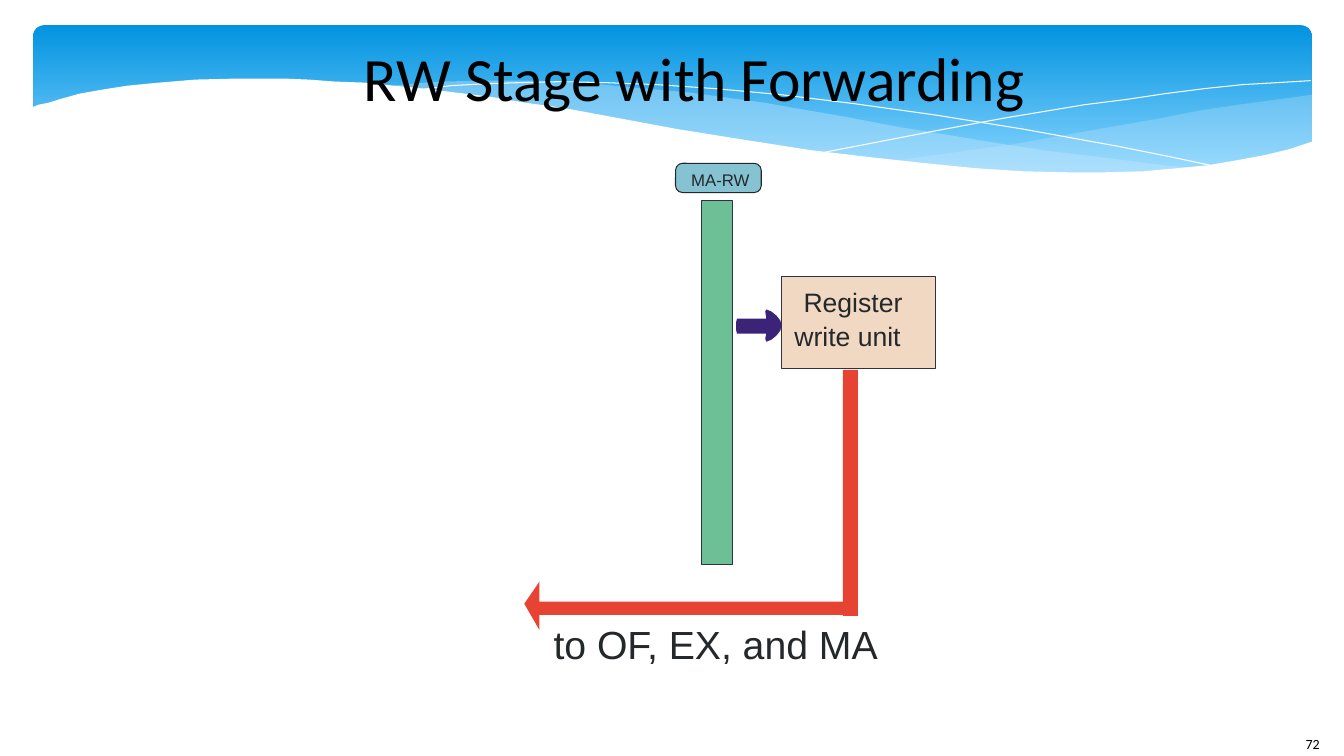
from lxml.etree import SubElement
from pptx import Presentation
from pptx.dml.color import RGBColor
from pptx.enum.shapes import MSO_SHAPE
from pptx.enum.text import MSO_ANCHOR, PP_ALIGN
from pptx.oxml.ns import qn
from pptx.util import Pt

PX = 9144
WHITE = RGBColor(0xFF, 0xFF, 0xFF)
BLACK = RGBColor(0, 0, 0)
SKY = RGBColor(0x02, 0x93, 0xE0)
LIGHT_SKY = RGBColor(0x83, 0xD3, 0xFE)
PALE_BLUE = RGBColor(0xC6, 0xE7, 0xFC)
GREEN = RGBColor(0x6D, 0xBF, 0x96)
TEAL = RGBColor(0x86, 0xC3, 0xD2)
SAND = RGBColor(0xF0, 0xD8, 0xC2)
RED = RGBColor(0xE7, 0x43, 0x32)
PURPLE = RGBColor(0x3B, 0x24, 0x78)
EDGE = RGBColor(0x32, 0x31, 0x41)
INK = RGBColor(0x24, 0x28, 0x2B)

RIGHT_RIBBON = [
    (1301, 94), (1265, 99), (1227, 104), (1188, 110), (1147, 118), (1073, 131),
    (1005, 143), (941, 152), (882, 160), (921, 164), (958, 167), (993, 169),
    (1041, 172), (1099, 172), (1138, 170), (1174, 167), (1207, 163),
    (1238, 158), (1266, 152), (1284, 147), (1301, 142)]
LEFT_RIBBON = [
    (1190, 167), (1154, 164), (1116, 159), (1076, 154), (1034, 149), (989, 142),
    (941, 134), (891, 126), (839, 116), (798, 109), (759, 102), (721, 97),
    (686, 92), (652, 89), (619, 86), (589, 83), (560, 82), (532, 80), (482, 80),
    (437, 81), (399, 84), (382, 86), (431, 90), (483, 97), (539, 106),
    (599, 116), (654, 126), (706, 135), (755, 143), (802, 150), (846, 156),
    (887, 161), (926, 165), (963, 168), (998, 170), (1046, 172), (1090, 173),
    (1131, 172), (1167, 169)]
FALLING_LINE = [
    (412, 90), (424, 88), (447, 85), (484, 83), (516, 82), (555, 81), (600, 82),
    (652, 84), (710, 88), (775, 94), (848, 103), (927, 114), (1014, 128),
    (1108, 145), (1158, 155), (1210, 166)]
RISING_LINE = [
    (818, 151), (870, 141), (927, 130), (997, 117), (1075, 104), (1115, 99),
    (1155, 93), (1194, 88), (1232, 84), (1267, 82), (1300, 80)]
WHITE_WAVE = [
    (1303, 140), (1279, 148), (1254, 154), (1227, 159), (1198, 164), (1167, 167),
    (1134, 170), (1097, 171), (1058, 171), (1015, 170), (969, 167), (918, 162),
    (863, 156), (804, 149), (740, 139), (671, 128), (596, 114), (558, 107),
    (521, 102), (486, 96), (453, 92), (421, 88), (390, 85), (361, 82), (333, 81),
    (306, 79), (282, 78), (235, 78), (194, 79), (158, 82), (127, 85), (101, 89),
    (79, 93), (61, 98), (48, 102), (38, 104), (31, 107), (31, 224), (1303, 224)]
LEFT_HEAD = [(520, 599), (535, 625), (535, 577)]
WRITE_ARROW = [
    (760, 307), (759, 309), (760, 316), (731, 316), (730, 320), (730, 327),
    (731, 331), (760, 331), (759, 336), (760, 339), (765, 337), (770, 333),
    (774, 328), (775, 323), (774, 318), (770, 313), (765, 309)]


class Canvas:
    def __init__(self, prs):
        self.s = prs.slides.add_slide(prs.slide_layouts[6])

    def style(self, sp, fill, line):
        sp.shadow.inherit = False
        if fill is None:
            sp.fill.background()
        else:
            sp.fill.solid()
            sp.fill.fore_color.rgb = fill
        if line is None:
            sp.line.fill.background()
        else:
            sp.line.color.rgb = line
            sp.line.width = Pt(0)
        return sp

    def shape(self, kind, x, y, w, h, fill, line=None, radius=None):
        sp = self.s.shapes.add_shape(kind, x * PX, y * PX, w * PX, h * PX)
        if radius is not None:
            sp.adjustments[0] = radius
        return self.style(sp, fill, line)

    def freeform(self, points, fill=None, line=None, alpha=None):
        builder = self.s.shapes.build_freeform(*points[0], scale=PX)
        builder.add_line_segments(points[1:], close=fill is not None)
        sp = self.style(builder.convert_to_shape(), fill, line)
        if alpha is not None:
            color = sp.element.spPr.find(qn("a:solidFill"))[0]
            SubElement(color, qn("a:alpha")).set("val", str(alpha * 1000))
        return sp

    def label(self, sp, text, size, font="Arial", color=INK, align=PP_ALIGN.LEFT,
              anchor=MSO_ANCHOR.TOP, left=0, top=0, wrap=False):
        tf = sp.text_frame
        tf.text = text
        tf.word_wrap = wrap
        tf.vertical_anchor = anchor
        tf.margin_left, tf.margin_top = left * PX, top * PX
        tf.margin_right = tf.margin_bottom = 0
        for p in tf.paragraphs:
            p.alignment = align
            for r in p.runs:
                r.font.size = Pt(size)
                r.font.name = font
                r.font.color.rgb = color
        return tf

    def text(self, x, y, w, h, text, size, **options):
        sp = self.s.shapes.add_textbox(x * PX, y * PX, w * PX, h * PX)
        return self.label(sp, text, size, **options)


def draw_banner(c):
    sp = c.shape(MSO_SHAPE.ROUNDED_RECTANGLE, 33, 25, 1268, 156, SKY, radius=0.07)
    sp.fill.gradient()
    sp.fill.gradient_angle = 270
    for stop, color, position in zip(sp.fill.gradient_stops, (SKY, LIGHT_SKY), (0, 0.9)):
        stop.color.rgb = color
        stop.position = position
    c.freeform(RIGHT_RIBBON, PALE_BLUE, alpha=29)
    c.freeform(LEFT_RIBBON, PALE_BLUE, alpha=40)
    c.freeform(FALLING_LINE, line=WHITE)
    c.freeform(RISING_LINE, line=WHITE)
    c.freeform(WHITE_WAVE, WHITE)
    c.text(1285, 725, 82, 40, "72", 10, font="Calibri", color=BLACK, left=10, top=5)
    c.text(283, 25, 811, 102, "RW Stage with Forwarding", 44, font="Calibri",
           color=BLACK, align=PP_ALIGN.CENTER, anchor=MSO_ANCHOR.MIDDLE, wrap=True)


def draw_stage(c):
    c.shape(MSO_SHAPE.RECTANGLE, 696, 199, 31, 361, GREEN, EDGE)
    latch = c.shape(MSO_SHAPE.ROUNDED_RECTANGLE, 670, 162, 85, 29, TEAL, INK, 0.24)
    c.label(latch, "MA-RW", 12, align=PP_ALIGN.CENTER, anchor=MSO_ANCHOR.MIDDLE,
            left=4, top=3)
    unit = c.shape(MSO_SHAPE.RECTANGLE, 775, 274, 153, 92, SAND, EDGE)
    tf = c.label(unit, "Register\nwrite unit", 19, left=13, top=10, wrap=True)
    tf.paragraphs[0]._p.get_or_add_pPr().set("indent", str(9 * PX))
    tf.paragraphs[1].space_before = Pt(1)
    c.shape(MSO_SHAPE.RECTANGLE, 836, 367, 15, 244, RED)
    c.shape(MSO_SHAPE.RECTANGLE, 531, 597, 314, 13, RED)
    c.text(549, 615, 325, 47, "to OF, EX, and MA", 28)
    c.freeform(LEFT_HEAD, RED)
    c.freeform(WRITE_ARROW, PURPLE)


def main():
    prs = Presentation()
    prs.slide_width, prs.slide_height = 1333 * PX, 750 * PX
    c = Canvas(prs)
    draw_banner(c)
    draw_stage(c)
    prs.save("out.pptx")


if __name__ == "__main__":
    main()
